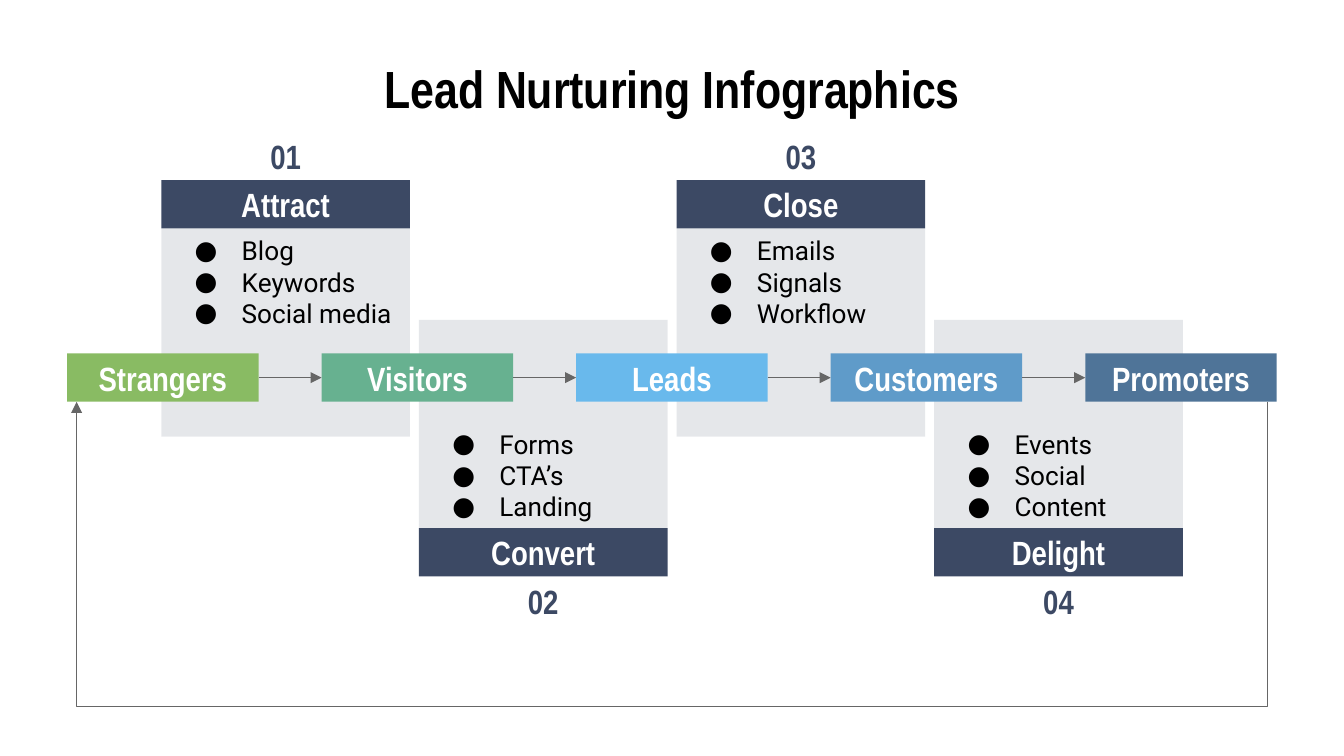
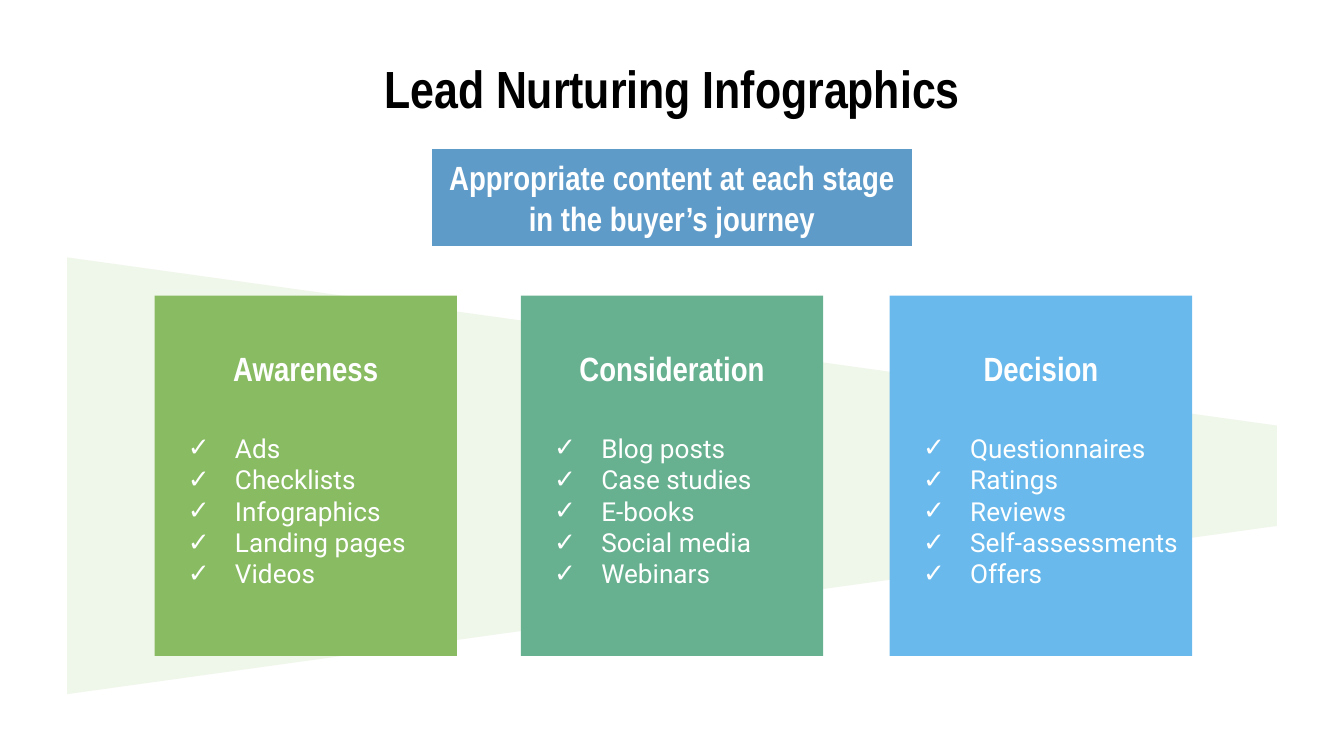
import pptx
import pptx.util
import pptx.dml.color
import pptx.enum.shapes
import pptx.enum.text
import pptx.oxml
import pptx.oxml.ns
from lxml import etree

# Grid: 100 columns by 56.25 rows of square cells
CELL = pptx.util.Inches(0.1)
COLUMNS, ROWS = 100, 56.25
MARGIN = 5
BAR_HEIGHT = 3.6

NAVY, GREEN, TEAL = "3C4964", "89BB63", "67B190"
SKY, BLUE, STEEL = "69B9EC", "5F9BC9", "4F7498"
GREY, WHITE, BLACK = "666666", "FFFFFF", "000000"
HEADING_FONT, BODY_FONT = "Arial Narrow", "Roboto"
PALE = 13  # opacity of the background panels, in percent

SHAPES = pptx.enum.shapes.MSO_SHAPE
CONNECTORS = pptx.enum.shapes.MSO_CONNECTOR
ALIGN = pptx.enum.text.PP_ALIGN


def cells(count):
    return pptx.util.Emu(round(count * CELL))


def color(value):
    return pptx.dml.color.RGBColor.from_string(value)


def add_tag(parent, tag, **attributes):
    child = etree.SubElement(parent, pptx.oxml.ns.qn(tag))
    for name, value in attributes.items():
        child.set(name, str(value))
    return child


def add_bullet(para, sign, ink):
    """Give a paragraph a hanging bullet in its own colour."""
    properties = para._p.get_or_add_pPr()
    properties.set("marL", str(cells(5)))
    properties.set("indent", str(-cells(3.5)))
    add_tag(add_tag(properties, "a:buClr"), "a:srgbClr", val=ink)
    add_tag(properties, "a:buFont", typeface=BODY_FONT)
    add_tag(properties, "a:buChar", char=sign)


def write(box, text, size=18, font=HEADING_FONT, ink=WHITE, bold=True,
          align=ALIGN.CENTER, bullet=None):
    """Fill a box with text, one paragraph a line."""
    frame = box.text_frame
    frame.word_wrap = True
    frame.vertical_anchor = pptx.enum.text.MSO_ANCHOR.MIDDLE
    frame.margin_left = frame.margin_right = cells(1)
    frame.margin_top = frame.margin_bottom = cells(1)
    for index, line in enumerate(text.split("\n")):
        para = frame.paragraphs[0] if index == 0 else frame.add_paragraph()
        para.alignment = align
        if bullet:
            add_bullet(para, bullet, ink)
        span = para.add_run()
        span.text = line
        span.font.size = pptx.util.Pt(size)
        span.font.name = font
        span.font.bold = bold
        span.font.color.rgb = color(ink)


class Infographic:
    """Holds the deck and the page being drawn."""

    def __init__(self):
        self.deck = pptx.Presentation()
        self.deck.slide_width = cells(COLUMNS)
        self.deck.slide_height = cells(ROWS)
        self.page = None

    def new_page(self):
        self.page = self.deck.slides.add_slide(self.deck.slide_layouts[6])

    def title(self, text):
        self.label(MARGIN, 4.5, COLUMNS - 2 * MARGIN, 4.1, text,
                   size=28, ink=BLACK)

    def block(self, left, top, width, height, fill, text=None,
              opacity=100, kind=SHAPES.RECTANGLE):
        box = self.page.shapes.add_shape(
            kind, cells(left), cells(top), cells(width), cells(height))
        box.shadow.inherit = False
        box.line.fill.background()
        box.fill.solid()
        box.fill.fore_color.rgb = color(fill)
        if opacity < 100:
            tint = box.element.spPr.find(".//" + pptx.oxml.ns.qn("a:srgbClr"))
            add_tag(tint, "a:alpha", val=opacity * 1000)
        if text:
            write(box, text)
        return box

    def label(self, left, top, width, height, text, **style):
        box = self.page.shapes.add_textbox(
            cells(left), cells(top), cells(width), cells(height))
        write(box, text, **style)

    def bullets(self, left, top, width, height, items, sign, ink):
        self.label(left, top, width, height, "\n".join(items), size=14,
                   font=BODY_FONT, ink=ink, bold=False, align=ALIGN.LEFT,
                   bullet=sign)

    def arrow(self, left, right, row, kind=CONNECTORS.STRAIGHT):
        line = self.page.shapes.add_connector(
            kind, cells(left), cells(row), cells(right), cells(row))
        line.line.color.rgb = color(GREY)
        line.line.width = pptx.util.Pt(0.75)
        add_tag(line.line._get_or_add_ln(), "a:tailEnd", type="triangle")
        add_tag(line.element.spPr, "a:effectLst")
        return line

    def return_arrow(self, start, end, row, depth):
        """Run down from start, across below, and back up to end."""
        line = self.arrow(start, end, row, CONNECTORS.ELBOW)
        properties = line.element.spPr
        frame = properties.find(pptx.oxml.ns.qn("a:xfrm"))
        frame.attrib.pop("flipH", None)
        frame.set("rot", str(90 * 60000))
        span, sliver = start - end, 600
        line.left = cells((start + end) / 2)
        line.top = cells(row - span / 2)
        line.width, line.height = pptx.util.Emu(sliver), cells(span)
        guides = properties.find(".//" + pptx.oxml.ns.qn("a:avLst"))
        bend = round(cells(depth) / sliver * 100000)
        add_tag(guides, "a:gd", name="adj1", fmla=f"val {bend}")


def draw_journey(art):
    """Five stages in a row, with four activity cards above and below."""
    art.new_page()
    cards = [
        ("01", "Attract", ["Blog", "Keywords", "Social media"]),
        ("02", "Convert", ["Forms", "CTA’s", "Landing"]),
        ("03", "Close", ["Emails", "Signals", "Workflow"]),
        ("04", "Delight", ["Events", "Social", "Content"]),
    ]
    width, panel_height, list_height, number_width = 18.5, 15.5, 7.9, 5.2
    for index, (number, name, items) in enumerate(cards):
        left = 12 + index * 19.17
        if index % 2 == 0:
            number_top, bar_top, panel_top, list_top = 9.8, 13.4, 17, 17
        else:
            number_top, bar_top, panel_top = 42.9, 39.3, 23.8
            list_top = bar_top - list_height
        art.block(left, panel_top, width, panel_height, NAVY, opacity=PALE)
        art.block(left, bar_top, width, BAR_HEIGHT, NAVY, name)
        art.bullets(left, list_top, width, list_height, items, "●", BLACK)
        art.label(left + (width - number_width) / 2, number_top, number_width,
                  BAR_HEIGHT, number, ink=NAVY)
    art.title("Lead Nurturing Infographics")

    # Stages, the arrows between them and the way back
    stages = [("Strangers", GREEN), ("Visitors", TEAL), ("Leads", SKY),
              ("Customers", BLUE), ("Promoters", STEEL)]
    stage_width, stage_top = 14.25, 26.3
    step = (COLUMNS - 2 * MARGIN - stage_width) / (len(stages) - 1)
    for index, (name, fill) in enumerate(stages):
        left = MARGIN + index * step
        if index:
            art.arrow(left - step + stage_width, left,
                      stage_top + BAR_HEIGHT / 2)
        art.block(left, stage_top, stage_width, BAR_HEIGHT, fill, name)
    art.return_arrow(94.3, 5.7, stage_top + BAR_HEIGHT, 18.9)


def draw_buyer_stages(art):
    """Three cards over a narrowing funnel."""
    art.new_page()
    length, breadth = COLUMNS - 2 * MARGIN, 32.5
    funnel = art.block((COLUMNS - breadth) / 2, -9.6, breadth, length, GREEN,
                       opacity=PALE, kind=SHAPES.TRAPEZOID)
    funnel.rotation = 90
    funnel.adjustments[0] = 0.385
    art.title("Lead Nurturing Infographics")

    cards = [
        (11.5, GREEN, "Awareness",
         ["Ads", "Checklists", "Infographics", "Landing pages", "Videos"]),
        (38.75, TEAL, "Consideration",
         ["Blog posts", "Case studies", "E-books", "Social media",
          "Webinars"]),
        (66.2, SKY, "Decision",
         ["Questionnaires", "Ratings", "Reviews", "Self-assessments",
          "Offers"]),
    ]
    width = 22.5
    for left, fill, name, items in cards:
        art.block(left, 22, width, 26.8, fill)
        art.label(left, 25.6, width, BAR_HEIGHT, name)
        art.bullets(left, 30.2, width, 15.6, items, "✓", WHITE)
    art.block(32.15, 11.1, 35.7, 2 * BAR_HEIGHT, BLUE,
              "Appropriate content at each stage in the buyer’s journey")


def main():
    art = Infographic()
    draw_journey(art)
    draw_buyer_stages(art)
    art.deck.save("out.pptx")


if __name__ == "__main__":
    main()
